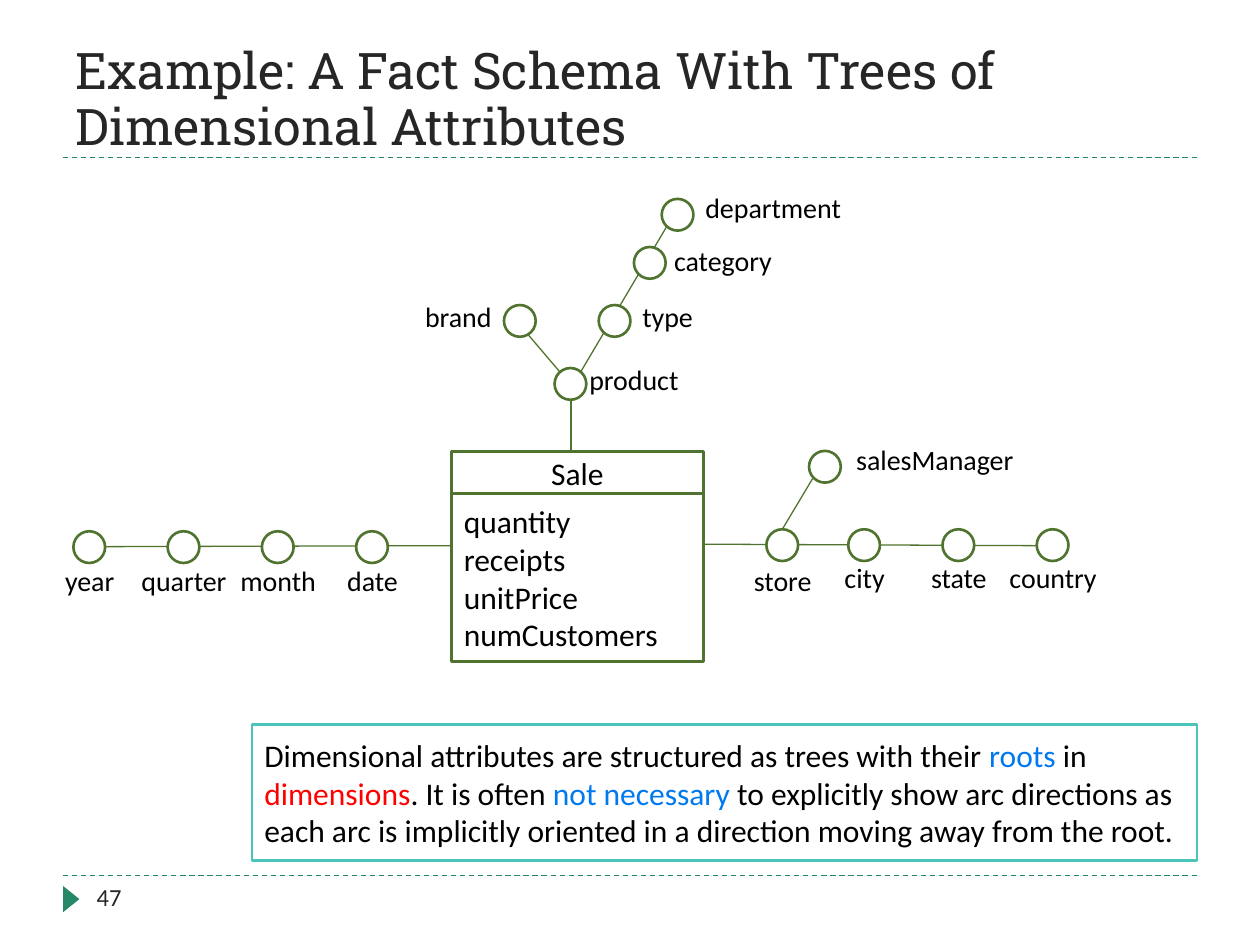
from dataclasses import dataclass

from lxml import etree
from pptx import Presentation
from pptx.dml.color import RGBColor
from pptx.enum.dml import MSO_LINE
from pptx.enum.shapes import MSO_CONNECTOR, MSO_SHAPE
from pptx.enum.text import MSO_ANCHOR, MSO_AUTO_SIZE, PP_ALIGN
from pptx.oxml.ns import qn
from pptx.util import Cm, Pt

LEFT, CENTER, RIGHT = PP_ALIGN.LEFT, PP_ALIGN.CENTER, PP_ALIGN.RIGHT
TOP, MIDDLE, BOTTOM = MSO_ANCHOR.TOP, MSO_ANCHOR.MIDDLE, MSO_ANCHOR.BOTTOM
RECTANGLE, CIRCLE, TRIANGLE = MSO_SHAPE.RECTANGLE, MSO_SHAPE.OVAL, MSO_SHAPE.ISOSCELES_TRIANGLE
STRAIGHT, DASH = MSO_CONNECTOR.STRAIGHT, MSO_LINE.DASH
FIT_SHAPE = MSO_AUTO_SIZE.SHAPE_TO_FIT_TEXT


@dataclass(frozen=True)
class Theme:
    heading_font: str = "Roboto Slab"
    body_font: str = "Calibri"
    title_size: float = 28.8
    body_size: float = 18
    label_size: float = 16
    number_size: float = 14
    white: str = "FFFFFF"
    ink: str = "000000"
    dark: str = "262626"
    schema: str = "50742F"
    rule: str = "268868"
    note: str = "4BC5B9"
    blue: str = "0078F0"
    red: str = "FF0000"
    thin: float = 0.75
    thick: float = 1.5


@dataclass(frozen=True)
class Attribute:
    """A circle at left, top, with its label offset from that corner (cm)."""
    name: str
    left: float
    top: float
    label_dx: float = -0.84
    label_dy: float = 0.52
    label_width: float = 2.34
    align: PP_ALIGN = CENTER


@dataclass(frozen=True)
class Arc:
    x1: float
    y1: float
    x2: float
    y2: float


THEME = Theme()
NODE_SIZE = 0.64
LABEL_HEIGHT = 0.94
ROW_STEP = 1.9

TIME_ROW = [Attribute(name, 1.48 + i * ROW_STEP, 10.71)
            for i, name in enumerate(["year", "quarter", "month", "date"])]
STORE_ROW = [Attribute(name, 17.1 + i * ROW_STEP, 10.67, label_dy=0.51)
             for i, name in enumerate(["city", "state", "country"])]
ATTRIBUTES = TIME_ROW + STORE_ROW + [
    Attribute("store", 15.45, 10.67, label_dy=0.56),
    Attribute("salesManager", 16.31, 9.09, 0.63, -0.3, 3.81),
    Attribute("product", 11.18, 7.42, 0.45, -0.23, align=LEFT),
    Attribute("brand", 10.16, 6.15, -2.34, -0.23, align=RIGHT),
    Attribute("type", 12.07, 6.15, 0.63, -0.23, align=LEFT),
    Attribute("category", 12.78, 4.98, 0.56, -0.2, 3.18, LEFT),
    Attribute("department", 13.34, 4.01, 0.63, -0.3, 3.6, LEFT),
]
ARCS = [
    Arc(14.17, 10.97, 20.9, 11),      # sale to country
    Arc(2.11, 11.02, 9.09, 11),       # year to sale
    Arc(11.51, 8.05, 11.51, 9.09),    # product to sale
    Arc(13.77, 4.01, 11.71, 7.49),    # department to product
    Arc(10.59, 6.68, 11.28, 7.49),    # brand to product
    Arc(16.38, 9.65, 15.77, 10.67),   # salesManager to store
]
MEASURES = ["quantity", "receipts", "unitPrice", "numCustomers"]
NOTE = [
    ("Dimensional attributes are structured as trees with their ", THEME.ink),
    ("roots", THEME.blue),
    (" in ", THEME.ink),
    ("dimensions", THEME.red),
    (". It is often ", THEME.ink),
    ("not necessary ", THEME.blue),
    ("to explicitly show arc directions as each arc is implicitly oriented "
     "in a direction moving away from the root.", THEME.ink),
]


def rgb(color: str) -> RGBColor:
    return RGBColor.from_string(color)


def apply(target, formats: dict) -> None:
    for attribute, value in formats.items():
        setattr(target, attribute, value)


def write(frame, paragraphs, size: float, font: str = THEME.body_font,
          align: PP_ALIGN = LEFT, anchor: MSO_ANCHOR = MIDDLE) -> None:
    """Fill a text frame; each paragraph is a list of (text, colour) runs."""
    apply(frame, {"word_wrap": True, "vertical_anchor": anchor})
    for i, runs in enumerate(paragraphs):
        paragraph = frame.paragraphs[0] if i == 0 else frame.add_paragraph()
        paragraph.alignment = align
        for text, color in runs:
            run = paragraph.add_run()
            run.text = text
            apply(run.font, {"name": font, "size": Pt(size)})
            run.font.color.rgb = rgb(color)


def draw_line(slide, arc: Arc, color: str, dash=None):
    line = slide.shapes.add_connector(
        STRAIGHT, Cm(arc.x1), Cm(arc.y1), Cm(arc.x2), Cm(arc.y2))
    line.line.color.rgb = rgb(color)
    apply(line.line, {"width": Pt(THEME.thin), "dash_style": dash})
    etree.SubElement(line._element.spPr, qn("a:effectLst"))


def draw_shape(slide, kind, left: float, top: float, width: float, height: float,
               fill: str = THEME.white, outline: str | None = THEME.schema):
    shape = slide.shapes.add_shape(kind, Cm(left), Cm(top), Cm(width), Cm(height))
    shape.shadow.inherit = False
    shape.fill.solid()
    shape.fill.fore_color.rgb = rgb(fill)
    if outline:
        shape.line.color.rgb = rgb(outline)
        shape.line.width = Pt(THEME.thick)
    else:
        shape.line.fill.background()
    return shape


def draw_text(slide, text: str, left: float, top: float, width: float, height: float,
              size: float, color: str, align: PP_ALIGN = LEFT):
    box = slide.shapes.add_textbox(Cm(left), Cm(top), Cm(width), Cm(height))
    write(box.text_frame, [[(text, color)]], size, align=align, anchor=TOP)
    return box


def draw_attribute(slide, item: Attribute) -> None:
    draw_shape(slide, CIRCLE, item.left, item.top, NODE_SIZE, NODE_SIZE)
    label = draw_text(slide, item.name, item.left + item.label_dx, item.top + item.label_dy,
                      item.label_width, LABEL_HEIGHT, THEME.label_size, THEME.ink, item.align)
    label.text_frame.auto_size = FIT_SHAPE


def draw_title(slide, text: str) -> None:
    title = slide.shapes.title
    apply(title, {"left": Cm(1.27), "top": Cm(0.64), "width": Cm(22.86), "height": Cm(2.54)})
    write(title.text_frame, [[(text, THEME.dark)]], THEME.title_size,
          THEME.heading_font, anchor=BOTTOM)
    title.text_frame.margin_bottom = Cm(0.03)
    title.text_frame.paragraphs[0].line_spacing = 0.92


def draw_frame(slide) -> None:
    """Draw the dashed rules, the page marker and the page number."""
    for y in (3.18, 17.65):
        draw_line(slide, Arc(1.27, y, 24.13, y), THEME.rule, DASH)
    marker = draw_shape(slide, TRIANGLE, 1.17, 17.96, 0.53, 0.33, THEME.rule, None)
    marker.rotation = 90
    draw_text(slide, "47", 1.7, 17.65, 5.5, 1.02, THEME.number_size, THEME.dark)


def main() -> None:
    deck = Presentation()
    apply(deck, {"slide_width": Cm(25.4), "slide_height": Cm(19.05)})
    slide = deck.slides.add_slide(deck.slide_layouts.get_by_name("Title Only"))

    draw_frame(slide)
    draw_title(slide, "Example: A Fact Schema With Trees of Dimensional Attributes")
    for arc in ARCS:
        draw_line(slide, arc, THEME.schema)

    fact = draw_shape(slide, RECTANGLE, 9.1, 9.1, 5.08, 0.85)
    write(fact.text_frame, [[("Sale", THEME.ink)]], THEME.body_size, align=CENTER)
    measures = draw_shape(slide, RECTANGLE, 9.1, 9.95, 5.08, 3.39)
    write(measures.text_frame, [[(name, THEME.ink)] for name in MEASURES], THEME.body_size)

    for item in ATTRIBUTES:
        draw_attribute(slide, item)

    note = draw_shape(slide, RECTANGLE, 5.08, 14.6, 19.05, 2.75, outline=THEME.note)
    write(note.text_frame, [NOTE], THEME.body_size)
    deck.save("out.pptx")


if __name__ == "__main__":
    main()
